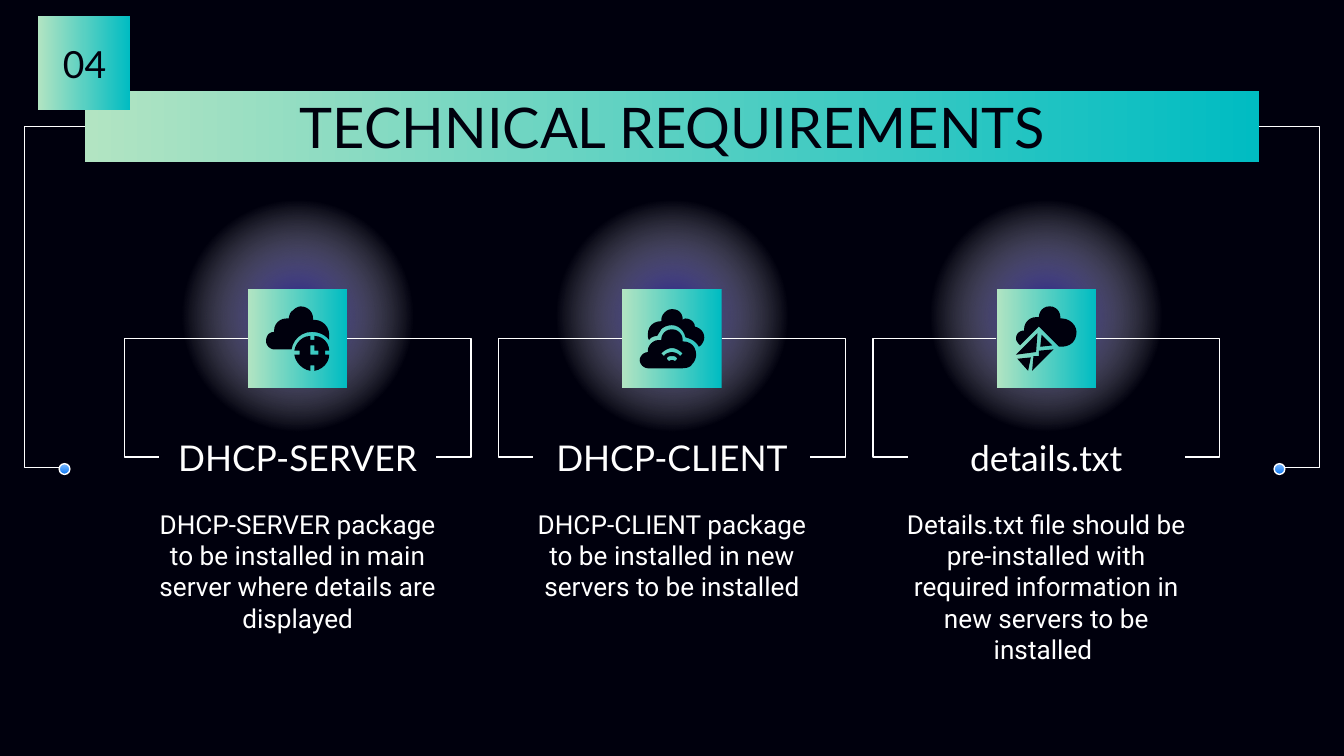
from pptx import Presentation
from pptx.dml.color import RGBColor
from pptx.enum.shapes import MSO_CONNECTOR, MSO_SHAPE
from pptx.enum.text import MSO_ANCHOR, MSO_AUTO_SIZE, PP_ALIGN
from pptx.oxml import parse_xml
from pptx.oxml.ns import nsdecls, qn
from pptx.util import Inches, Pt

COLORS = {"night": "00000D", "white": "FFFFFF", "teal": "00BCC2", "mint": "B2E4C2",
          "indigo": "170F8D", "sky": "82BCFE", "blue": "0C77F1"}
LEFTWARD = '<a:lin ang="10800000" scaled="0"/>'
DOWNWARD = '<a:lin ang="5400000" scaled="0"/>'
RADIAL = '<a:path path="circle"><a:fillToRect l="50000" t="50000" r="50000" b="50000"/></a:path>'
TILE_STOPS = [(0, "teal", 100), (100, "mint", 100)]
GLOW_STOPS = [(0, "indigo", 100), (61, "white", 0), (100, "white", 0)]
DOT_STOPS = [(0, "sky", 100), (100, "blue", 100)]
CENTER = 5
COLUMN_STEP = 5.57 / 2
CURVE_STEPS = 6

CLOCK_CLOUD = [
    "M 224 228 C 222 228 220 229 218 231 216 232 215 235 215 237 215 237 214 237 213 237 "
    "208 237 204 241 204 246 204 247 204 247 204 247 200 247 198 250 198 254 198 257 201 260 204 260 "
    "L 217 260 C 218 253 224 247 232 247 237 247 242 249 245 253 245 252 245 250 245 249 "
    "245 243 240 238 234 238 L 233 238 233 237 C 233 232 229 228 224 228",
    "M 234 257 L 234 261 237 261 237 264 231 264 231 257 "
    "M 231 250 C 225 250 220 255 219 261 L 223 261 223 264 219 264 C 220 270 225 275 231 276 "
    "L 231 272 234 272 234 276 C 240 275 245 270 245 264 L 242 264 242 261 245 261 "
    "C 245 255 240 250 234 250 L 234 253 231 253 231 250",
]
WIRELESS_CLOUD = [
    "M 500 230 C 496 230 492 234 492 238 L 492 239 C 486 239 482 243 482 249 482 250 482 252 483 253 "
    "484 251 487 250 489 250 490 248 491 247 492 245 494 243 497 242 500 242 505 242 509 246 510 251 "
    "514 252 518 254 520 258 522 257 524 254 524 251 524 247 521 244 517 243 517 240 514 237 510 237 "
    "510 237 509 237 508 238 508 233 505 230 500 230",
    "M 500 259 C 503 259 506 261 508 263 L 506 265 C 505 263 502 262 500 262 498 262 495 263 494 265 "
    "L 492 263 C 494 261 497 259 500 259 "
    "M 500 265 C 502 265 503 265 504 267 L 502 269 C 502 268 501 268 500 268 499 268 498 268 498 269 "
    "L 496 267 C 497 265 498 265 500 265 "
    "M 500 245 C 495 245 492 249 492 253 491 253 491 253 490 253 486 253 482 257 482 261 "
    "482 262 482 262 482 262 479 262 476 265 476 268 476 271 479 274 482 274 L 508 274 "
    "C 511 274 514 273 515 271 517 269 518 266 518 264 518 258 514 254 508 254 L 508 253 "
    "C 508 249 505 245 500 245",
]
MAIL_CLOUD = [
    "M 781 228 C 776 228 773 232 773 236 772 236 772 236 771 236 766 236 762 240 762 245 "
    "762 245 762 245 762 246 759 246 756 248 756 252 756 254 758 256 759 257 L 773 243 788 258 790 258 "
    "C 793 258 796 257 798 255 800 253 801 250 801 247 801 242 796 237 790 237 "
    "L 789 237 789 236 C 789 232 786 228 781 228",
    "M 784 260 L 773 261 773 265 769 265 768 276",
    "M 767 266 L 757 267 765 276",
    "M 772 248 L 756 264 771 262",
    "M 775 249 L 774 258 783 257",
]
COLUMNS = [
    ("DHCP-SERVER", "DHCP-SERVER package to be installed in main server where details are displayed",
     CLOCK_CLOUD),
    ("DHCP-CLIENT", "DHCP-CLIENT package to be installed in new servers to be installed", WIRELESS_CLOUD),
    ("details.txt", "Details.txt file should be pre-installed with required information in new servers "
     "to be installed ", MAIL_CLOUD),
]

def color(name):
    return RGBColor.from_string(COLORS[name])

def inches(values):
    return [Inches(value) for value in values]

def add_gradient_shape(page, kind, area, stops, direction):
    shape = page.shapes.add_shape(kind, *inches(area))
    shape.shadow.inherit = False
    shape.line.fill.background()
    shape.fill.background()
    stop_list = "".join(
        f'<a:gs pos="{position * 1000}"><a:srgbClr val="{COLORS[name]}">'
        f'<a:alpha val="{opacity * 1000}"/></a:srgbClr></a:gs>' for position, name, opacity in stops)
    properties = shape.element.spPr
    properties.replace(properties.find(qn("a:noFill")), parse_xml(
        f'<a:gradFill {nsdecls("a")}><a:gsLst>{stop_list}</a:gsLst>{direction}</a:gradFill>'))
    return shape

def add_tile(page, *area):
    add_gradient_shape(page, MSO_SHAPE.RECTANGLE, area, TILE_STOPS, LEFTWARD)

def draw_outline(shape):
    shape.line.color.rgb = color("white")
    shape.line.width = Pt(0.75)

def write_text(box, text, size, font, color_name, anchor=MSO_ANCHOR.TOP):
    frame = box.text_frame
    frame.word_wrap = True
    frame.auto_size = MSO_AUTO_SIZE.NONE
    frame.vertical_anchor = anchor
    frame.margin_left = frame.margin_right = frame.margin_top = frame.margin_bottom = Inches(0.1)
    para = frame.paragraphs[0]
    para.alignment = PP_ALIGN.CENTER
    span = para.add_run()
    span.text = text
    span.font.size = Pt(size)
    span.font.name = font
    span.font.color.rgb = color(color_name)

def add_text(page, area, *style):
    write_text(page.shapes.add_textbox(*inches(area)), *style)

def add_bracket(page, start, end, bend):
    bracket = page.shapes.add_connector(MSO_CONNECTOR.ELBOW, *inches(start + end))
    draw_outline(bracket)
    properties = bracket.element.spPr
    properties.append(parse_xml(f'<a:effectLst {nsdecls("a")}/>'))
    ratio = round((bend - start[0]) / (end[0] - start[0]) * 100000)
    geometry = properties.find(qn("a:prstGeom"))
    for guides in geometry.findall(qn("a:avLst")):
        geometry.remove(guides)
    geometry.append(parse_xml(
        f'<a:avLst {nsdecls("a")}><a:gd name="adj1" fmla="val {ratio}"/></a:avLst>'))

def curve(*controls):
    for step in range(1, CURVE_STEPS + 1):
        t = step / CURVE_STEPS
        weights = ((1 - t) ** 3, 3 * t * (1 - t) ** 2, 3 * t * t * (1 - t), t ** 3)
        yield tuple(sum(w * value for w, value in zip(weights, values)) for values in zip(*controls))

def trace(contour):
    points, pending, command = [], [], "L"
    for token in contour.split():
        if token.isalpha():
            command = token
            continue
        pending.append(Inches(int(token) / 100))
        if len(pending) == (2 if command == "L" else 6):
            controls = list(zip(pending[::2], pending[1::2]))
            points += controls if command == "L" else curve(points[-1], *controls)
            pending = []
    return points

def add_icon(page, pieces):
    group = page.shapes.add_group_shape()
    for piece in pieces:
        contours = [trace(contour) for contour in piece.split("M")[1:]]
        builder = group.shapes.build_freeform(*contours[0][0])
        for points in contours:
            builder.move_to(*points[0])
            builder.add_line_segments(points[1:], close=True)
        shape = builder.convert_to_shape()
        shape.shadow.inherit = False
        shape.fill.solid()
        shape.fill.fore_color.rgb = color("night")
        shape.line.fill.background()

def add_column(page, middle, heading, description, icon):
    left = middle - 2.07 / 2
    add_gradient_shape(page, MSO_SHAPE.OVAL, (left, 1.39, 2.07, 1.92), GLOW_STOPS, RADIAL)
    add_text(page, (left, 3.01, 2.07, 0.78), heading, 19, "Lato", "white", MSO_ANCHOR.MIDDLE)
    add_text(page, (middle - 1.19, 3.68, 2.38, 0.95), description, 14, "Roboto", "white")
    add_tile(page, middle - 0.37, 2.15, 0.74, 0.74)
    add_icon(page, icon)
    for side in (-1, 1):
        add_bracket(page, (middle + side * 0.37, 2.52), (middle + side * 1.03, 3.4), middle + side * 1.29)

def add_side_frame(page, side):
    area = (CENTER + side * 4.52 - 0.04, 3.45, 0.08, 0.08)
    draw_outline(add_gradient_shape(page, MSO_SHAPE.OVAL, area, DOT_STOPS, DOWNWARD))
    add_bracket(page, (CENTER + side * 4.56, 3.48), (CENTER + side * 4.37, 0.94), CENTER + side * 4.82)

def place_title(page, text):
    title = page.shapes.title
    title.left, title.top, title.width, title.height = inches((0.79, 0.59, 8.43, 0.63))
    write_text(title, text, 30, "Lato", "night")
    page.shapes.element.append(title.element)

def main():
    deck = Presentation()
    deck.slide_width, deck.slide_height = Inches(10), Inches(10 * 9 / 16)
    page = deck.slides.add_slide(deck.slide_layouts[5])
    page.background.fill.solid()
    page.background.fill.fore_color.rgb = color("night")
    for number, column in enumerate(COLUMNS):
        add_column(page, CENTER + (number - 1) * COLUMN_STEP, *column)
    for side in (-1, 1):
        add_side_frame(page, side)
    add_tile(page, 0.63, 0.68, 8.74, 0.53)
    place_title(page, "TECHNICAL REQUIREMENTS")
    add_tile(page, 0.28, 0.12, 0.69, 0.7)
    add_text(page, (0.25, 0.21, 0.76, 0.67), "04", 20, "Lato", "night")
    deck.save("out.pptx")

if __name__ == "__main__":
    main()
